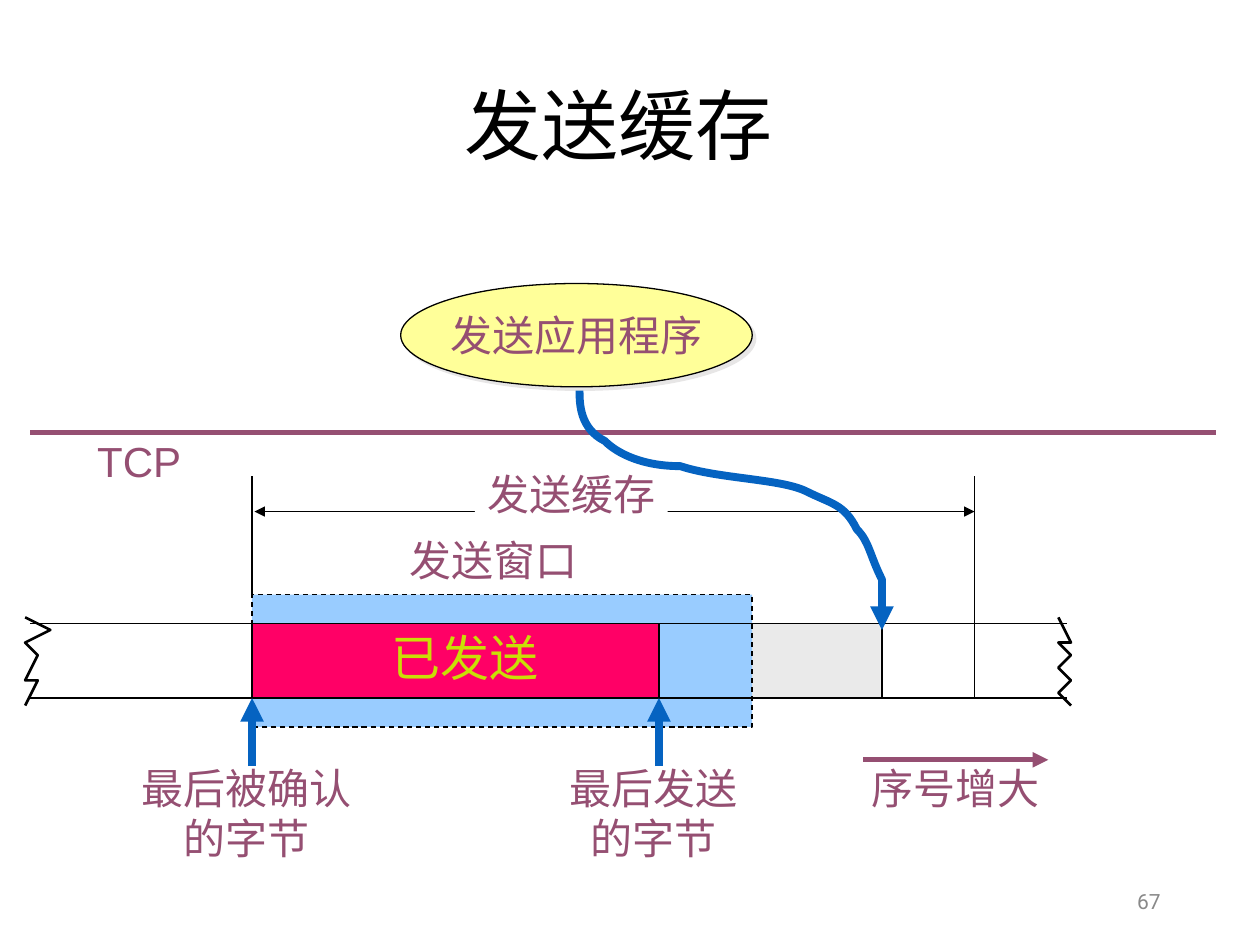
import pptx
import pptx.dml.color
import pptx.enum.dml
import pptx.enum.shapes
import pptx.enum.text
import pptx.oxml
import pptx.oxml.ns
import pptx.util

RGBColor = pptx.dml.color.RGBColor
BLACK = RGBColor(0x00, 0x00, 0x00)
WHITE = RGBColor(0xFF, 0xFF, 0xFF)
PLUM = RGBColor(0x95, 0x4F, 0x72)
BLUE = RGBColor(0x05, 0x63, 0xC1)
SKY = RGBColor(0x99, 0xCC, 0xFF)
YELLOW = RGBColor(0xFF, 0xFF, 0x99)
LIME = RGBColor(0xC9, 0xDE, 0x06)
PINK = RGBColor(0xFF, 0x00, 0x66)
PALE = RGBColor(0xEA, 0xEA, 0xEA)
GREY = RGBColor(0x89, 0x89, 0x89)

# The slide is a grid of 100 columns by 75 rows of square cells.
CELL = 91440
COLUMNS, ROWS = 100, 75

SHAPE = pptx.enum.shapes.MSO_SHAPE
ALIGN = pptx.enum.text.PP_ALIGN
ANCHOR = pptx.enum.text.MSO_ANCHOR
SHADOW = ('<a:effectLst xmlns:a="http://schemas.openxmlformats.org/drawingml/2006/main">'
          '<a:outerShdw dist="35921" dir="2700000" algn="ctr" rotWithShape="0">'
          '<a:srgbClr val="E7E6E6"/></a:outerShdw></a:effectLst>')


def cells(*values):
    return [round(value * CELL) for value in values]


def write(shape, text, size=24, color=PLUM, font="Arial", align=ALIGN.CENTER,
          anchor=ANCHOR.TOP, wrap=False, spacing=None, shadow=False):
    frame = shape.text_frame
    frame.word_wrap = wrap
    frame.vertical_anchor = anchor
    frame.text = text
    for paragraph in frame.paragraphs:
        paragraph.alignment = align
        paragraph.line_spacing = spacing
        for run in paragraph.runs:
            run.font.size = pptx.util.Pt(size)
            run.font.name = font
            run.font.color.rgb = color
            if shadow:
                fill = run.font._element.find(pptx.oxml.ns.qn("a:solidFill"))
                fill.addnext(pptx.oxml.parse_xml(SHADOW))


def add_text(slide, box, text, **style):
    write(slide.shapes.add_textbox(*cells(*box)), text, **style)


def add_block(slide, box, fill, kind=SHAPE.RECTANGLE, line=None):
    shape = slide.shapes.add_shape(kind, *cells(*box))
    shape.shadow.inherit = False
    shape.fill.solid()
    shape.fill.fore_color.rgb = fill
    if line is None:
        shape.line.fill.background()
    else:
        shape.line.color.rgb = line
        shape.line.width = pptx.util.Pt(0.75)
    return shape


def format_line(shape, color, width, head=False, tail=False):
    shape.line.color.rgb = color
    shape.line.width = pptx.util.Pt(width)
    line = shape.line._get_or_add_ln()
    for tag, wanted in (("a:headEnd", head), ("a:tailEnd", tail)):
        if wanted:
            end = pptx.oxml.parse_xml(
                f'<{tag} xmlns:a="{pptx.oxml.ns.nsuri("a")}" type="triangle"/>')
            line.append(end)


def add_line(slide, start, end, color=BLACK, width=0.75, **ends):
    line = slide.shapes.add_connector(
        pptx.enum.shapes.MSO_CONNECTOR.STRAIGHT, *cells(*start, *end))
    format_line(line, color, width, **ends)
    line._element.spPr.append(pptx.oxml.parse_xml(
        f'<a:effectLst xmlns:a="{pptx.oxml.ns.nsuri("a")}"/>'))


def add_outline(slide, left, top, points, color, width, **ends):
    """Draw an open path through points given relative to left and top."""
    points = [(left + x, top + y) for x, y in points]
    builder = slide.shapes.build_freeform(*points[0], scale=CELL)
    builder.add_line_segments(points[1:], close=False)
    shape = builder.convert_to_shape()
    shape.shadow.inherit = False
    shape.fill.background()
    format_line(shape, color, width, **ends)
    return shape


def bend(shape):
    """Turn each three straight segments of a path into one cubic curve."""
    qn = pptx.oxml.ns.qn
    outline = next(shape._element.iter(qn("a:path")))
    segments = outline.findall(qn("a:lnTo"))
    for first in range(0, len(segments), 3):
        curve = outline.makeelement(qn("a:cubicBezTo"))
        for segment in segments[first:first + 3]:
            curve.append(segment[0])
            outline.remove(segment)
        outline.append(curve)


def add_application(slide, left, top, width, height):
    ellipse = add_block(slide, (left + 29.4, top, 27.9, 8.2), YELLOW, SHAPE.OVAL, BLACK)
    ellipse._element.spPr.remove(ellipse._element.spPr.find(pptx.oxml.ns.qn("a:effectLst")))
    ellipse._element.spPr.append(pptx.oxml.parse_xml(SHADOW))
    write(ellipse, "发送应用程序", anchor=ANCHOR.MIDDLE)
    border = top + 11.85
    add_line(slide, (left, border), (left + width, border), PLUM, 3)
    add_text(slide, (left + 4.3, top + height - 5, 8.7, 5), "TCP")


def add_extent(slide, left, top, width, height):
    """Draw the dimension of the whole buffer with its two bounds."""
    right, middle = left + width, top + 2.8
    add_line(slide, (left + 0.2, middle), (right, middle), head=True, tail=True)
    add_line(slide, (left, top), (left, top + 9.4))
    add_line(slide, (right, top), (right, top + height))
    write(add_block(slide, (left + 17.7, top - 1.1, 15.3, 5), WHITE),
          "发送缓存", align=ALIGN.LEFT)


def add_stream(slide, left, top, width, height):
    """Draw the byte stream: window, sent bytes, written bytes, torn ends."""
    start, sent, window, written = [left + x for x in (17.6, 49.9, 57.3, 67.6)]
    bottom = top + height
    add_block(slide, (sent, top, window - sent + 10.2, height), PALE)
    frame = add_block(slide, (start, top - 2.3, window - start, height + 4.6), SKY, line=BLACK)
    frame.line.dash_style = pptx.enum.dml.MSO_LINE.DASH
    add_text(slide, (start + 11.5, top - 7.6, 15.3, 5), "发送窗口", align=ALIGN.LEFT)
    add_block(slide, (start, top, sent - start, height), PINK)
    add_text(slide, (start + 10.1, top - 0.2, 13.7, 5.7), "已发送",
             size=28, color=LIME, align=ALIGN.LEFT, shadow=True)
    for edge in (top, bottom):
        add_line(slide, (left, edge), (left + width, edge))
    for divider in (start, sent, written):
        add_line(slide, (divider, top), (divider, bottom))
    tears = (
        (-0.9, [(0.4, 0), (2.1, 1.2), (0.2, 2.2), (1.7, 3.5), (0, 4.6), (1.7, 5.5), (0.3, 7.1)]),
        (width - 0.7, [(0.5, -0.2), (1.4, 1.9), (0.3, 2.3), (1.1, 3.1),
                       (0, 3.6), (1, 4.9), (0.3, 5.6), (1.3, 6.7)]))
    for offset, points in tears:
        add_outline(slide, left + offset, top - 0.5, points, BLACK, 1.5)


def add_pointer(slide, left, top, width, height, text):
    """Draw an arrow up to the stream with a label of two lines below it."""
    tip = left + width / 2
    add_line(slide, (tip, top + 5.4), (tip, top), BLUE, 4.5, tail=True)
    add_text(slide, (left - 0.45, top + 4.6, width, height - 4.6), text)


def add_write_path(slide, left, top):
    points = [(0, 0), (0.3, 0.7), (0.8, 3.2), (2.2, 4.3), (3.5, 5.4), (5.7, 5.8), (8.4, 6.5),
              (11.1, 7.1), (15.9, 7.3), (18.3, 8), (20.7, 8.7), (21.8, 9.6), (22.7, 10.7),
              (23.7, 11.8), (23.7, 13.4), (23.9, 14.7), (24.2, 16.1), (24.3, 17.9), (24.4, 18.75)]
    bend(add_outline(slide, left, top, points, BLUE, 4.5, tail=True))


def add_direction(slide, left, top, width, height):
    add_line(slide, (left + 0.3, top + 0.3), (left + width - 0.3, top + 0.3), PLUM, 3, tail=True)
    add_text(slide, (left, top, width, height), "序号增大")


def main():
    presentation = pptx.Presentation()
    presentation.slide_width, presentation.slide_height = cells(COLUMNS, ROWS)
    slide = presentation.slides.add_slide(presentation.slide_layouts[6])
    add_text(slide, (12.6, 2.3, 74.4, 16), "发送缓存 ", size=44, color=BLACK, font="Calibri",
             anchor=ANCHOR.MIDDLE, wrap=True, spacing=0.9)
    add_application(slide, 2.4, 22.5, 94.1, 16.6)
    add_extent(slide, 20, 37.8, 57.35, 17.6)
    add_stream(slide, 2.4, 49.5, 82.3, 5.9)
    add_pointer(slide, 10.65, 55.4, 18.7, 13.6, "最后被确认\n的字节")
    add_pointer(slide, 44.65, 55.4, 15.3, 13.6, "最后发送\n的字节")
    add_write_path(slide, 45.6, 30.8)
    add_direction(slide, 68.2, 60, 15.3, 5)
    add_text(slide, (70.6, 69.5, 22.5, 4), "67", size=12, color=GREY, font="Roboto",
             align=ALIGN.RIGHT, anchor=ANCHOR.MIDDLE, wrap=True)
    presentation.save("out.pptx")


if __name__ == "__main__":
    main()
